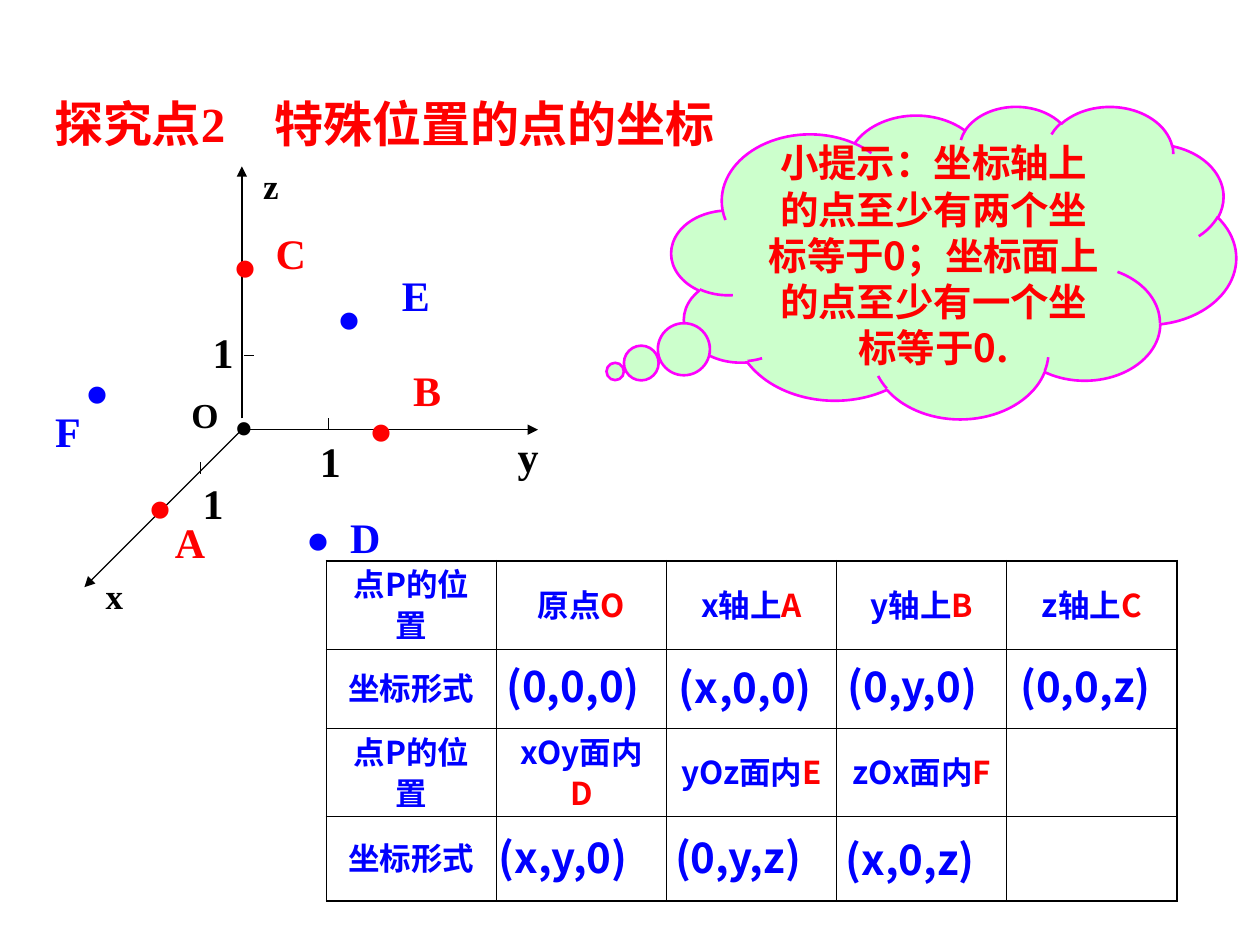
from lxml import etree
from pptx import Presentation
from pptx.dml.color import RGBColor
from pptx.enum.shapes import MSO_CONNECTOR, MSO_SHAPE
from pptx.enum.text import MSO_ANCHOR, MSO_AUTO_SIZE, PP_ALIGN
from pptx.oxml.ns import qn
from pptx.util import Inches, Pt

STRAIGHT = MSO_CONNECTOR.STRAIGHT
CLOUD = MSO_SHAPE.CLOUD_CALLOUT
TOP, MIDDLE = MSO_ANCHOR.TOP, MSO_ANCHOR.MIDDLE
LEFT, CENTER = PP_ALIGN.LEFT, PP_ALIGN.CENTER
NO_AUTOFIT = MSO_AUTO_SIZE.NONE

COLORS = {"red": "FF0000", "blue": "0000FF", "black": "000000",
          "mint": "CCFFCC", "magenta": "FF00FF", "white": "FFFFFF"}
SANS, SERIF = "Noto Sans CJK SC", "Times New Roman"
LINE_HEIGHTS = {20: 0.44, 24: 0.5, 28: 0.57, 36: 0.7}

HEADING = "探究点2　特殊位置的点的坐标"
TIP = "小提示：坐标轴上的点至少有两个坐标等于0；坐标面上的点至少有一个坐标等于0."

ORIGIN = (1.92, 3.41)
AXES = [(ORIGIN, (0.67, 4.66)), (ORIGIN, (4.27, 3.41)), ((1.92, 3.32), (1.92, 1.32))]
TICKS = [((2.61, 3.41), (2.61, 3.32)), ((1.94, 2.82), (2.02, 2.82)),
         ((1.59, 3.76), (1.59, 3.67))]

AXIS_LABELS = [
    ("•", 1.77, 3.1, 0.33, 28), ("O", 1.42, 3.07, 0.41, 20),
    ("x", 0.74, 4.51, 0.34, 20), ("y", 4.01, 3.37, 0.36, 24),
    ("z", 1.99, 1.26, 0.32, 20), ("1", 2.44, 3.41, 0.36, 24),
    ("1", 1.59, 2.54, 0.36, 24), ("1", 1.51, 3.74, 0.36, 24),
]
POINTS = [
    ("A", "red", (1.09, 3.67), (1.29, 4.05), 0.44),
    ("D", "blue", (2.34, 3.92), (2.68, 4.01), 0.44),
    ("C", "red", (1.76, 1.76), (2.09, 1.76), 0.44),
    ("B", "red", (2.84, 3.06), (3.18, 2.84), 0.42),
    ("E", "blue", (2.59, 2.17), (3.09, 2.09), 0.42),
    ("F", "blue", (0.59, 2.76), (0.34, 3.17), 0.4),
]

ROWS = [
    [("点P的位置", ""), ("原点", "O"), ("x轴上", "A"), ("y轴上", "B"), ("z轴上", "C")],
    [("坐标形式", "")],
    [("点P的位置", ""), ("xOy面内", "D"), ("yOz面内", "E"), ("zOx面内", "F")],
    [("坐标形式", "")],
]
ROW_HEIGHTS = [0.7, 0.63, 0.7, 0.67]
COLUMN_WIDTH, COLUMN_COUNT = 1.35, 5
COORDINATES = [
    ("(0,0,0)", 3.92, 5.19, 2.26), ("(x,0,0)", 5.29, 5.2, 1.8),
    ("(0,y,0)", 6.63, 5.19, 1.71), ("(0,0,z)", 8, 5.19, 1.63),
    ("(x,y,0)", 3.86, 6.55, 1.77), ("(0,y,z)", 5.26, 6.55, 1.57),
    ("(x,0,z)", 6.61, 6.57, 1.5),
]


def rgb(name):
    return RGBColor.from_string(COLORS[name])


def write(frame, text, size=24, color="black", font=SERIF, align=LEFT,
          spacing=1.0, ending="", ending_color="red"):
    paragraph = frame.paragraphs[0]
    paragraph.alignment = align
    paragraph.line_spacing = spacing
    paragraph.space_before = Pt(0)
    for part, part_color in ((text, color), (ending, ending_color)):
        if part:
            run = paragraph.add_run()
            run.text = part
            run.font.size = Pt(size)
            run.font.bold = True
            run.font.name = font
            run.font.color.rgb = rgb(part_color)
            east_asian = etree.SubElement(run.font._element, qn("a:ea"))
            east_asian.set("typeface", SANS)


def add_label(slide, text, left, top, width, size=24, wrap=False, **style):
    label = slide.shapes.add_textbox(Inches(left), Inches(top), Inches(width),
                                     Inches(LINE_HEIGHTS[size]))
    label.text_frame.word_wrap = wrap
    write(label.text_frame, text, size=size, **style)


def add_line(slide, start, end, arrow=False):
    line = slide.shapes.add_connector(STRAIGHT, *map(Inches, start + end))
    line.line.color.rgb = rgb("black")
    line.line.width = Pt(0.75)
    if arrow:
        etree.SubElement(line.line._get_or_add_ln(), qn("a:tailEnd"), type="triangle")
    etree.SubElement(line._element.spPr, qn("a:effectLst"))


def set_borders(cell, outer_sides):
    properties = cell._tc.get_or_add_tcPr()
    for side in "LRTB":
        width = Pt(1.08 if side in outer_sides else 0.45)
        border = etree.SubElement(properties, qn(f"a:ln{side}"), w=str(width))
        fill = etree.SubElement(border, qn("a:solidFill"))
        etree.SubElement(fill, qn("a:srgbClr"), val=COLORS["black"])


def add_heading(slide):
    title = slide.shapes.title
    title.left, title.top = Inches(0.33), Inches(0.69)
    title.width, title.height = Inches(7.64), Inches(0.57)
    frame = title.text_frame
    frame.auto_size = NO_AUTOFIT
    frame.word_wrap = True
    frame.vertical_anchor = TOP
    write(frame, HEADING, size=28, color="red")


def add_tip(slide):
    cloud = slide.shapes.add_shape(CLOUD, Inches(5.33), Inches(0.84),
                                   Inches(4.48), Inches(2.48))
    cloud.adjustments[0], cloud.adjustments[1] = -0.6, 0.35
    cloud.shadow.inherit = False
    cloud.fill.solid()
    cloud.fill.fore_color.rgb = rgb("mint")
    cloud.line.color.rgb = rgb("magenta")
    cloud.line.width = Pt(1.5)
    cloud.text_frame.word_wrap = True
    cloud.text_frame.vertical_anchor = MIDDLE
    write(cloud.text_frame, TIP, size=22, color="red", font=SANS, align=CENTER)


def add_axes(slide):
    for start, end in AXES:
        add_line(slide, start, end, arrow=True)
    for start, end in TICKS:
        add_line(slide, start, end)
    for text, left, top, width, size in AXIS_LABELS:
        add_label(slide, text, left, top, width, size)
    for name, color, dot, letter, width in POINTS:
        add_label(slide, "•", *dot, 0.37, size=36, color=color)
        add_label(slide, name, *letter, width, color=color)


def add_positions(slide):
    table = slide.shapes.add_table(
        len(ROWS), COLUMN_COUNT, Inches(2.59), Inches(4.45),
        Inches(COLUMN_WIDTH * COLUMN_COUNT), Inches(sum(ROW_HEIGHTS))).table
    for column in table.columns:
        column.width = Inches(COLUMN_WIDTH)
    for r, (entries, height) in enumerate(zip(ROWS, ROW_HEIGHTS)):
        table.rows[r].height = Inches(height)
        for c in range(COLUMN_COUNT):
            cell = table.cell(r, c)
            edges = {"L": c == 0, "R": c == COLUMN_COUNT - 1,
                     "T": r == 0, "B": r == len(ROWS) - 1}
            set_borders(cell, [side for side, outer in edges.items() if outer])
            cell.fill.solid()
            cell.fill.fore_color.rgb = rgb("white")
            cell.vertical_anchor = MIDDLE
            cell.margin_top = cell.margin_bottom = Inches(0.02)
            if c < len(entries):
                place, point = entries[c]
                write(cell.text_frame, place, size=18, color="blue", font=SANS,
                      align=CENTER, spacing=0.9, ending=point)
    for text, left, top, width in COORDINATES:
        add_label(slide, text, left, top, width, wrap=True, color="blue", font=SANS)


def main():
    deck = Presentation()
    deck.slide_width, deck.slide_height = Inches(10), Inches(7.5)
    slide = deck.slides.add_slide(deck.slide_layouts[5])
    add_tip(slide)
    add_axes(slide)
    add_heading(slide)
    add_positions(slide)
    deck.save("out.pptx")


if __name__ == "__main__":
    main()
